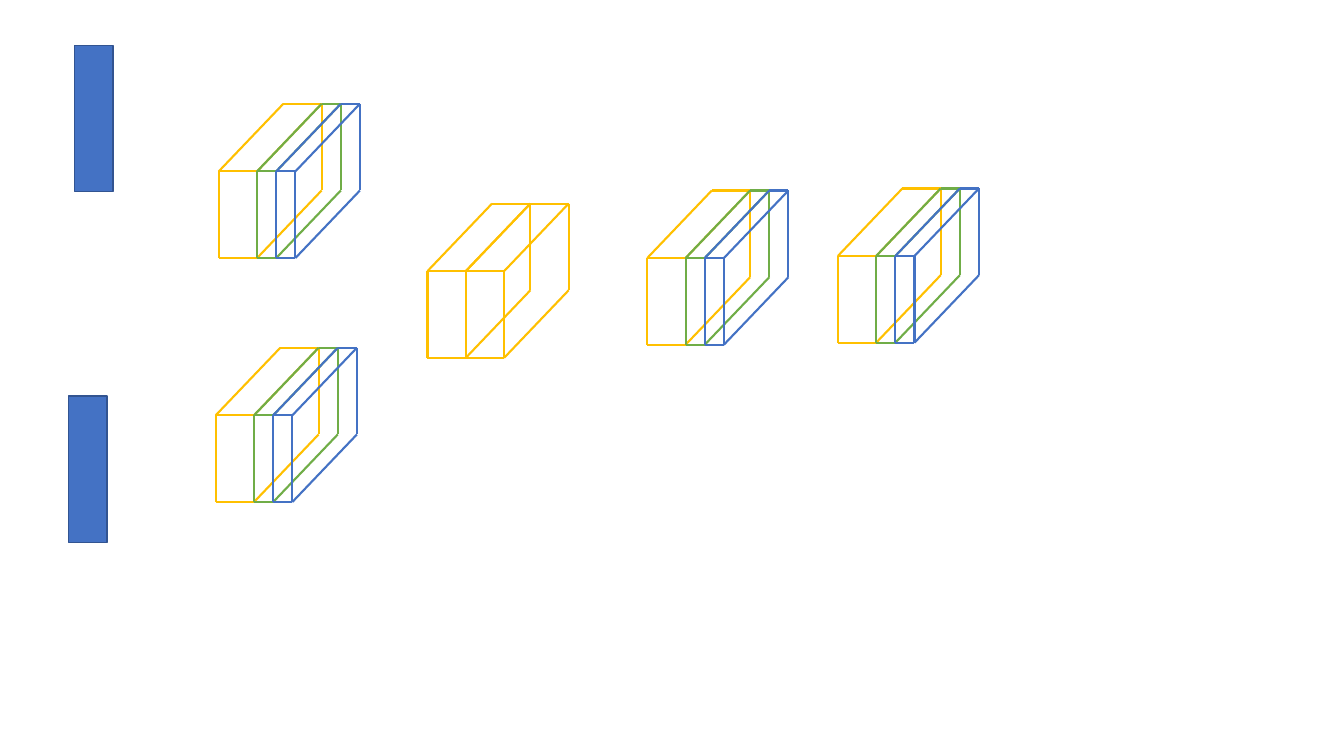
from pptx import Presentation, util as u
from pptx.dml.color import RGBColor
from pptx.enum import shapes
from pptx.oxml.ns import qn
from lxml import etree

HUES = {"gold": "FFC000", "green": "70AD47", "blue": "4472C4", "edge": "325491"}
TALL, DEEP, RISE = 0.86, 0.64, 0.67  # box height, and shift of its back face


class Deck:
    def __init__(self):
        self.prs = Presentation()
        self.prs.slide_width = u.Inches(13.33)
        self.prs.slide_height = u.Inches(7.5)
        self.slide = self.prs.slides.add_slide(self.prs.slide_layouts[6])

    def hue(self, name):
        return RGBColor.from_string(HUES[name])

    def bar(self, x, y, w, h):
        rect = self.slide.shapes.add_shape(
            shapes.MSO_SHAPE.RECTANGLE, *map(u.Inches, (x, y, w, h)))
        rect.shadow.inherit = False
        rect.fill.solid()
        rect.fill.fore_color.rgb = self.hue("blue")
        rect.line.color.rgb = self.hue("edge")
        rect.line.width = u.Pt(1)

    def line(self, group, start, end, hue):
        edge = group.shapes.add_connector(
            shapes.MSO_CONNECTOR.STRAIGHT, *map(u.Inches, start + end))
        edge.line.color.rgb = self.hue(hue)
        edge.line.width = u.Pt(1.5)
        etree.SubElement(edge._element.spPr, qn("a:effectLst"))

    def box(self, x, y, w, hue):
        """Draw the nine visible edges of a box from its front top left corner."""
        front = [(x, y), (x + w, y), (x + w, y + TALL), (x, y + TALL)]
        back = [(a + DEEP, b - RISE) for a, b in front[:3]]
        edges = list(zip(front, front[1:] + front[:1]))  # front face
        edges += zip(back, back[1:])  # top and right side of the back face
        edges += zip(front, back)  # slanted edges
        group = self.slide.shapes.add_group_shape()
        for start, end in edges:
            self.line(group, start, end, hue)

    def stack(self, x, y, parts):
        for w, hue in parts:
            self.box(x, y, w, hue)
            x += w


deck = Deck()

# Solid bars on the left
for x, y in [(0.74, 0.45), (0.68, 3.93)]:
    deck.bar(x, y, 0.38, 1.45)

# Stacks of boxes, each box starting where the last one ends
pair = [(0.38, "gold")] * 2
trio = [(0.38, "gold"), (0.19, "green"), (0.19, "blue")]
deck.stack(4.24, 2.69, pair)
for x, y in [(2.17, 1.7), (2.14, 4.12), (6.42, 2.56), (8.31, 2.54)]:
    deck.stack(x, y, trio)

deck.prs.save("out.pptx")
